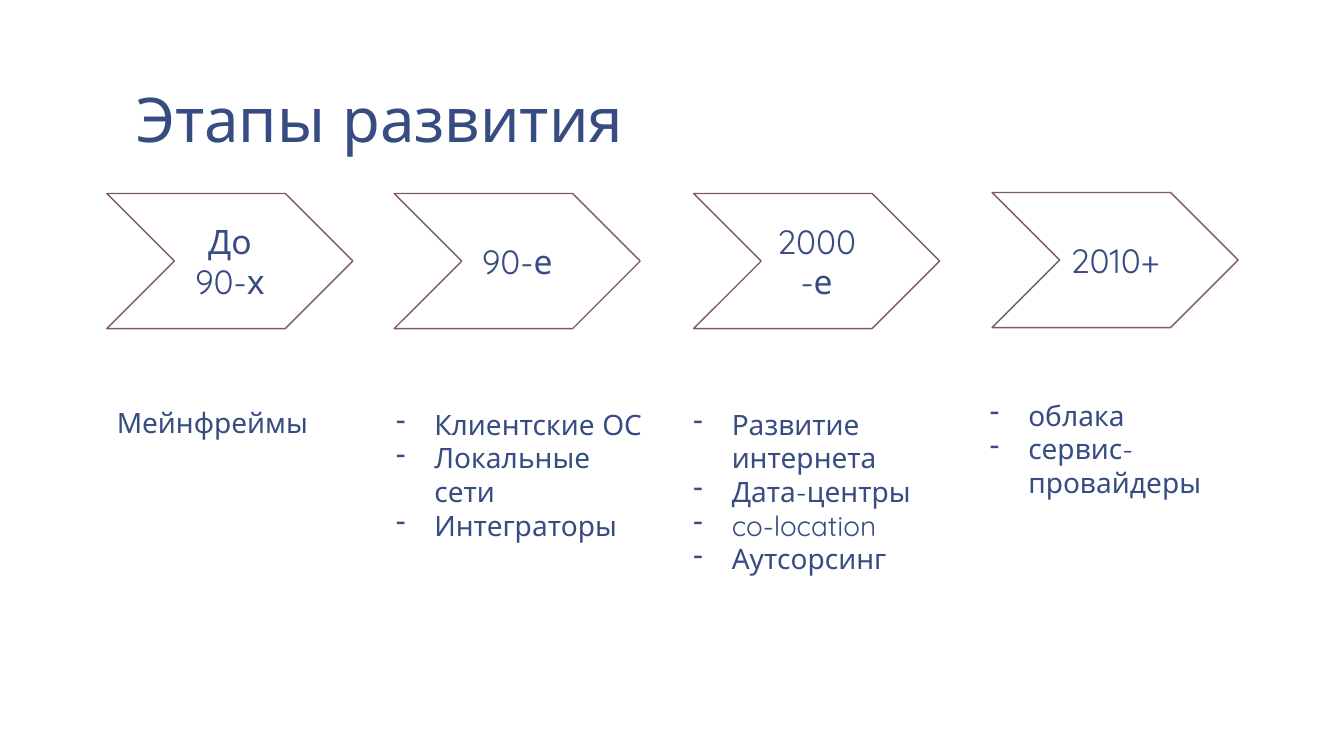
from lxml.etree import SubElement
from pptx import Presentation
from pptx.dml.color import RGBColor
from pptx.enum.shapes import MSO_SHAPE as Shape
from pptx.enum.text import MSO_ANCHOR as Anchor, PP_ALIGN as Align
from pptx.oxml.ns import qn
from pptx.util import Inches, Pt

NAVY = RGBColor(0x37, 0x4C, 0x81)
BROWN = RGBColor(0x7E, 0x5C, 0x5C)
WHITE = RGBColor(0xFF, 0xFF, 0xFF)
FONT = "Quicksand"
CHEVRON_WIDTH, CHEVRON_HEIGHT = 2.44, 1.34
INDENT = 0.38

# Period, chevron left and top, list box (left, top, width, height), items
STAGES = [
    ("До 90-х", 1.06, 1.92, (1.06, 3.97, 2.42, 0.44), ["Мейнфреймы"]),
    ("90-е", 3.91, 1.92, (3.83, 3.99, 2.72, 1.78),
     ["Клиентские ОС", "Локальные сети", "Интеграторы"]),
    ("2000-е", 6.88, 1.92, (6.78, 3.99, 2.8, 2.12),
     ["Развитие интернета", "Дата-центры", "co-location", "Аутсорсинг"]),
    ("2010+", 9.84, 1.91, (9.72, 3.9, 2.55, 1.11),
     ["облака", "сервис-провайдеры"]),
]


def write(para, text, size):
    para.text = text
    para.font.name = FONT
    para.font.size = Pt(size)
    para.font.color.rgb = NAVY


def add_dash(para):
    props = para._p.get_or_add_pPr()
    props.set("marL", str(Inches(INDENT)))
    props.set("indent", str(-Inches(INDENT)))
    SubElement(props, qn("a:buChar")).set("char", "-")


def add_text(page, place, lines, size, dashed=False):
    box = page.shapes.add_textbox(*map(Inches, place))
    frame = box.text_frame
    frame.word_wrap = True
    for index, line in enumerate(lines):
        para = frame.add_paragraph() if index else frame.paragraphs[0]
        write(para, line, size)
        if dashed:
            add_dash(para)
    return frame


def add_title(page, text):
    frame = add_text(page, (1.22, 0.08, 11.11, 1.53), [text], 44)
    frame.vertical_anchor = Anchor.BOTTOM
    frame.margin_left = frame.margin_right = Inches(0.13)
    frame.margin_top = frame.margin_bottom = Inches(0.07)
    frame.paragraphs[0].line_spacing = 0.85


def add_chevron(page, left, top, text):
    place = (left, top, CHEVRON_WIDTH, CHEVRON_HEIGHT)
    chevron = page.shapes.add_shape(Shape.CHEVRON, *map(Inches, place))
    chevron.shadow.inherit = False
    chevron.fill.solid()
    chevron.fill.fore_color.rgb = WHITE
    chevron.line.color.rgb = BROWN
    chevron.line.width = Pt(1)
    frame = chevron.text_frame
    frame.word_wrap = True
    frame.vertical_anchor = Anchor.MIDDLE
    para = frame.paragraphs[0]
    para.alignment = Align.CENTER
    write(para, text, 24)


def main():
    deck = Presentation()
    deck.slide_width, deck.slide_height = Inches(13.33), Inches(7.5)
    page = deck.slides.add_slide(deck.slide_layouts[6])

    add_title(page, "Этапы развития")

    # One chevron and one list per stage; a single item has no dash
    for period, left, top, place, items in STAGES:
        add_chevron(page, left, top, period)
        add_text(page, place, items, 20, dashed=len(items) > 1)

    deck.save("out.pptx")


if __name__ == "__main__":
    main()
